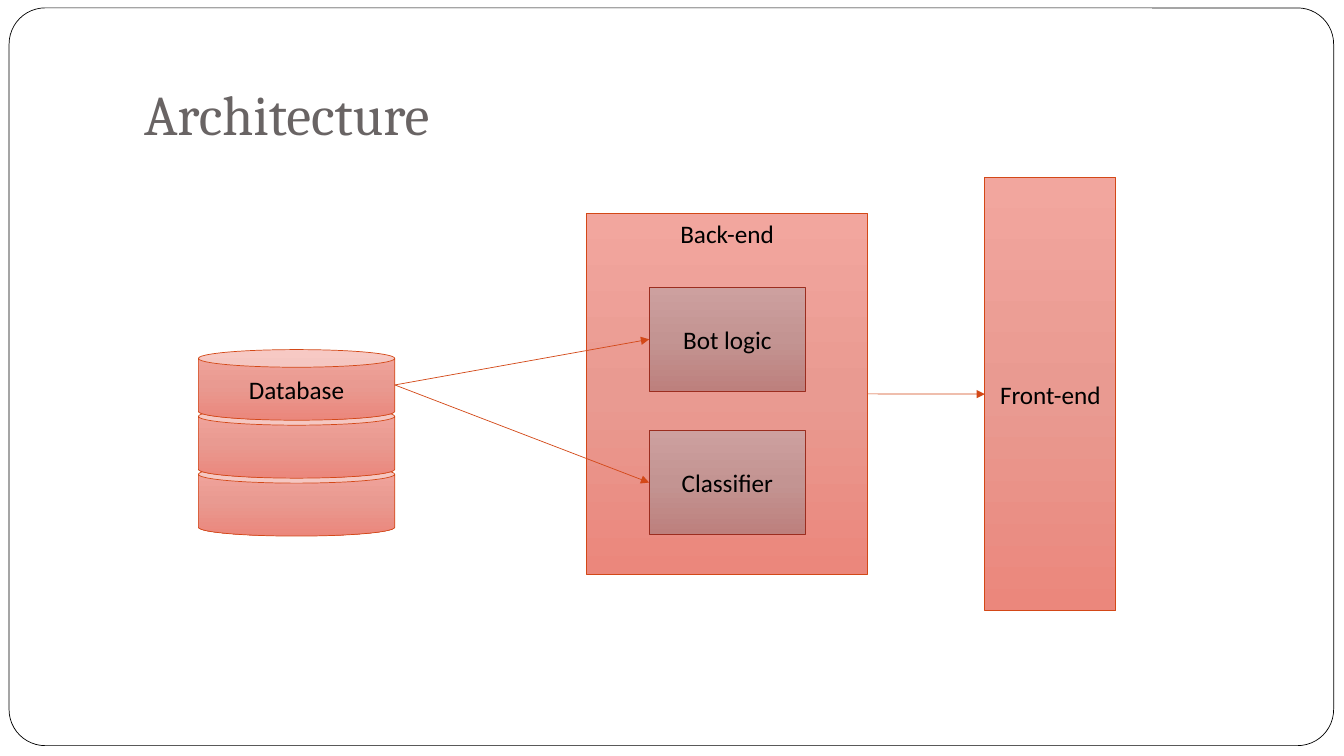
from dataclasses import dataclass

from copy import deepcopy
from lxml import etree
from pptx import Presentation
from pptx.dml.color import RGBColor
from pptx.enum.shapes import MSO_CONNECTOR, MSO_SHAPE
from pptx.enum.text import MSO_ANCHOR, PP_ALIGN
from pptx.oxml.ns import qn
from pptx.util import Cm, Pt

RECT, CAN, ROUNDED = MSO_SHAPE.RECTANGLE, MSO_SHAPE.CAN, MSO_SHAPE.ROUNDED_RECTANGLE
STRAIGHT = MSO_CONNECTOR.STRAIGHT
TOP, MIDDLE, BOTTOM = MSO_ANCHOR.TOP, MSO_ANCHOR.MIDDLE, MSO_ANCHOR.BOTTOM
LEFT, CENTER = PP_ALIGN.LEFT, PP_ALIGN.CENTER
LEFT_SITE, RIGHT_SITE = 1, 3

COLORS = {
    "paper": "FFFFFF",
    "ink": "000000",
    "title": "696464",
    "tier_line": "D34817",
    "module_line": "9B2D1F",
}
GRADIENTS = {
    "tier": ("F2A69E", "E99A91", "EB877C"),
    "module": ("CDA09F", "C39492", "BD807D"),
}
LINE_WIDTH = Pt(0.5)
LABEL_FONT = {"name": "Calibri", "size": Pt(18)}
TITLE_FONT = {"name": "Cambria", "size": Pt(40)}
TITLE_FRAME = {
    "word_wrap": True,
    "vertical_anchor": BOTTOM,
    "margin_left": Cm(0.25),
    "margin_right": Cm(0.25),
    "margin_top": Cm(0.13),
    "margin_bottom": Cm(0.25),
}


@dataclass(frozen=True)
class Component:
    """One block of the architecture, measured in centimetres."""
    label: str
    left: float
    top: float
    width: float
    height: float
    style: str = "tier"
    preset: int = RECT
    anchor: int = MIDDLE


def color(key: str) -> RGBColor:
    return RGBColor.from_string(COLORS[key])


def set_all(target, values: dict) -> None:
    for name, value in values.items():
        setattr(target, name, value)


def write(frame, text: str, font: dict, color_key: str, align) -> None:
    paragraph = frame.paragraphs[0]
    paragraph.alignment = align
    run = paragraph.add_run()
    run.text = text
    set_all(run.font, font)
    run.font.color.rgb = color(color_key)


def outline(line, color_key: str) -> None:
    line.color.rgb = color(color_key)
    line.width = LINE_WIDTH


def fill_gradient(fill, hexes: tuple) -> None:
    fill.gradient()
    fill.gradient_angle = 270  # counter-clockwise, so top to bottom
    first = fill._fill._gradFill.gsLst[0]
    first.addnext(deepcopy(first))
    for index, (stop, value) in enumerate(zip(fill.gradient_stops, hexes)):
        stop.color.rgb = RGBColor.from_string(value)
        stop.position = index / (len(hexes) - 1)


def draw_component(shapes, part: Component):
    box = shapes.add_shape(
        part.preset, Cm(part.left), Cm(part.top), Cm(part.width), Cm(part.height))
    box.shadow.inherit = False
    fill_gradient(box.fill, GRADIENTS[part.style])
    outline(box.line, f"{part.style}_line")
    set_all(box.text_frame, {"word_wrap": True, "vertical_anchor": part.anchor})
    if part.label:
        write(box.text_frame, part.label, LABEL_FONT, "ink", CENTER)
    return box


def draw_arrow(shapes, source, target) -> None:
    start = (source.left + source.width, source.top + source.height // 2)
    end = (target.left, target.top + target.height // 2)
    arrow = shapes.add_connector(STRAIGHT, *start, *end)
    if source.auto_shape_type == RECT:
        arrow.begin_connect(source, RIGHT_SITE)
    arrow.end_connect(target, LEFT_SITE)
    outline(arrow.line, "tier_line")
    etree.SubElement(arrow.line._get_or_add_ln(), qn("a:tailEnd"), type="triangle")
    etree.SubElement(arrow._element.spPr, qn("a:effectLst"))


deck = Presentation()
deck.slide_width, deck.slide_height = Cm(33.87), Cm(19.05)
slide = deck.slides.add_slide(deck.slide_layouts[6])
canvas = slide.shapes

# Page frame
border = canvas.add_shape(ROUNDED, Cm(0.23), Cm(0.2), Cm(33.38), Cm(18.59))
border.adjustments[0] = 0.049
border.shadow.inherit = False
border.fill.solid()
border.fill.fore_color.rgb = color("paper")
outline(border.line, "ink")

# Title
heading = canvas.add_textbox(Cm(3.38), Cm(0.76), Cm(28.78), Cm(3.18)).text_frame
set_all(heading, TITLE_FRAME)
write(heading, "Architecture", TITLE_FONT, "title", LEFT)

# Front-end and back-end, with the modules inside the latter
front_end = draw_component(canvas, Component("Front-end", 24.82, 4.47, 3.3, 10.92))
back_end = draw_component(
    canvas, Component("Back-end", 14.78, 5.38, 7.09, 9.09, anchor=TOP))
MODULE_TOP, MODULE_PITCH = 7.24, 3.61
modules = [
    draw_component(canvas, Component(
        label, 16.36, MODULE_TOP + row * MODULE_PITCH, 3.94, 2.62, "module"))
    for row, label in enumerate(("Bot logic", "Classifier"))
]

# Database: stacked from the bottom disk up, so the labelled one is in front
DISK_TOP, DISK_PITCH = 8.81, 1.46
database = canvas.add_group_shape()
for level, label in ((2, ""), (1, ""), (0, "Database")):
    top_disk = draw_component(database.shapes, Component(
        label, 5, DISK_TOP + level * DISK_PITCH, 4.95, 1.78, preset=CAN))

# Data flow
for module in modules:
    draw_arrow(canvas, top_disk, module)
draw_arrow(canvas, back_end, front_end)

deck.save("out.pptx")
